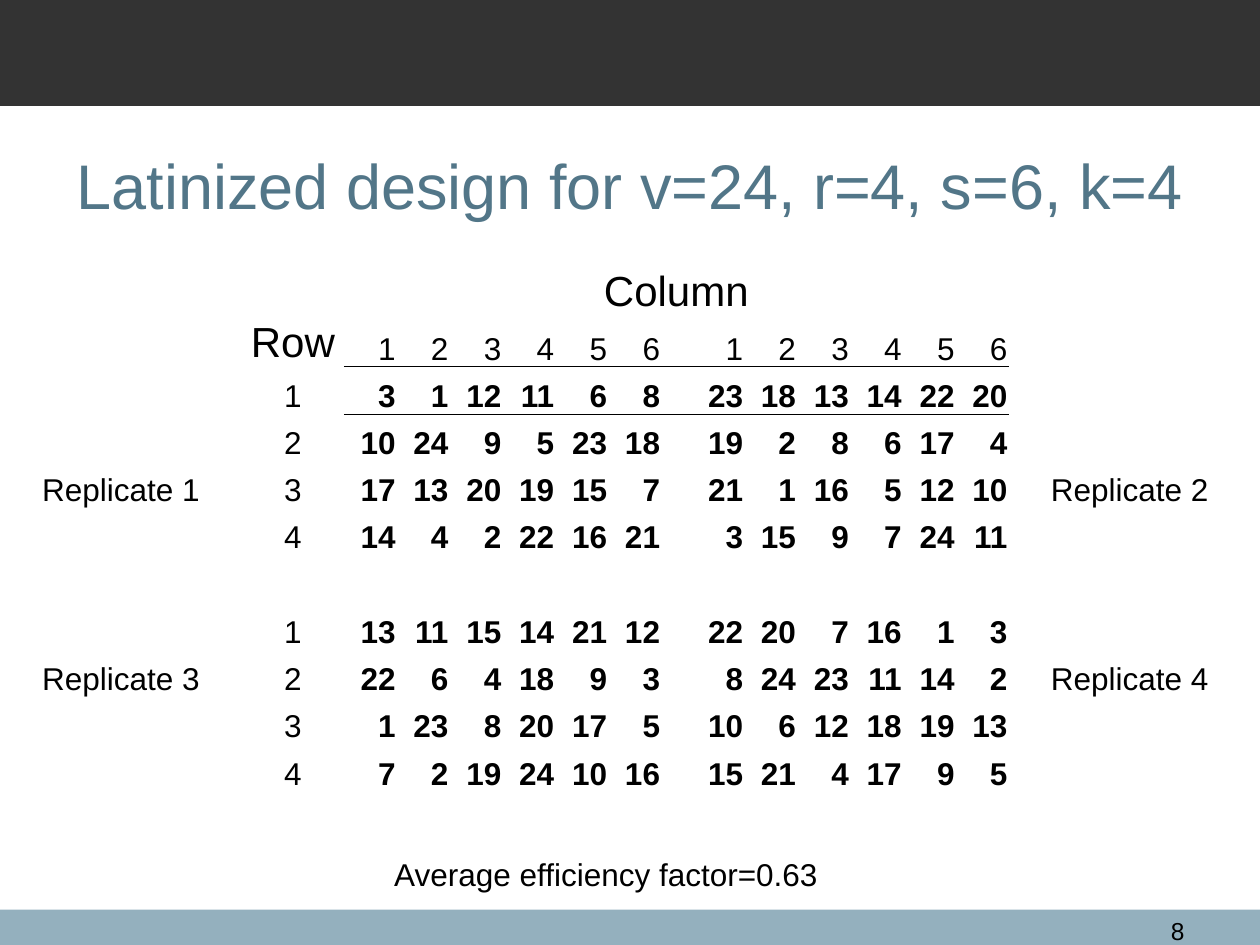
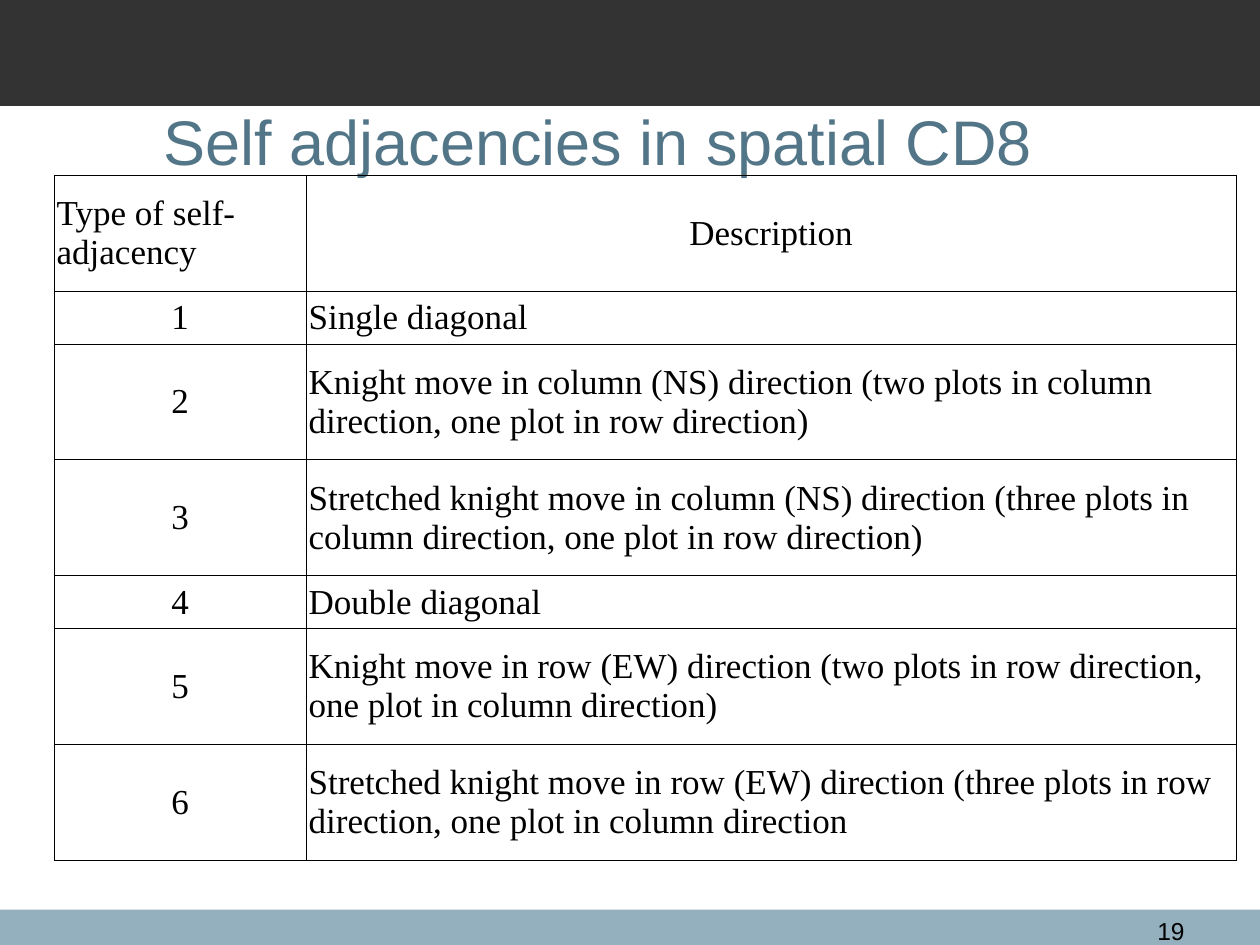
from dataclasses import dataclass

from lxml import etree
from pptx import Presentation
from pptx import util as u
from pptx.dml.color import RGBColor
from pptx.enum import shapes, text
from pptx.oxml import ns

DESIGN = {
    "title": "Latinized design for v=24, r=4, s=6, k=4",
    "number": 8,
    "column_heading": "Column",
    "row_heading": "Row",
    "summary": "Average efficiency factor=0.63",
}

# Label, (first row, first column) of the block, (row, column) of the label, plots
REPLICATES = [
    ("Replicate 1", (2, 2), (4, 0), [
        (3, 1, 12, 11, 6, 8),
        (10, 24, 9, 5, 23, 18),
        (17, 13, 20, 19, 15, 7),
        (14, 4, 2, 22, 16, 21)]),
    ("Replicate 2", (2, 9), (4, 15), [
        (23, 18, 13, 14, 22, 20),
        (19, 2, 8, 6, 17, 4),
        (21, 1, 16, 5, 12, 10),
        (3, 15, 9, 7, 24, 11)]),
    ("Replicate 3", (7, 2), (8, 0), [
        (13, 11, 15, 14, 21, 12),
        (22, 6, 4, 18, 9, 3),
        (1, 23, 8, 20, 17, 5),
        (7, 2, 19, 24, 10, 16)]),
    ("Replicate 4", (7, 9), (8, 15), [
        (22, 20, 7, 16, 1, 3),
        (8, 24, 23, 11, 14, 2),
        (10, 6, 12, 18, 19, 13),
        (15, 21, 4, 17, 9, 5)]),
]

ADJACENCY = {
    "title": "Self adjacencies in spatial CD8",
    "number": 19,
    "headings": ("Type of self-adjacency", "Description"),
    "descriptions": [
        "Single diagonal",
        "Knight move in column (NS) direction (two plots in column direction, "
        "one plot in row direction)",
        "Stretched knight move in column (NS) direction (three plots in column "
        "direction, one plot in row direction)",
        "Double diagonal",
        "Knight move in row (EW) direction (two plots in row direction, "
        "one plot in column direction)",
        "Stretched knight move in row (EW) direction (three plots in row "
        "direction, one plot in column direction",
    ],
}


@dataclass(frozen=True)
class Theme:
    header: str = "333333"
    footer: str = "94B0BE"
    title: str = "527688"
    ink: str = "000000"
    sans: str = "Arial"
    serif: str = "Times New Roman"
    title_size: int = 36
    heading_size: int = 24
    description_size: int = 20
    body_size: int = 18
    number_size: int = 14


THEME = Theme()
LEFT, CENTER, RIGHT = text.PP_ALIGN.LEFT, text.PP_ALIGN.CENTER, text.PP_ALIGN.RIGHT
TOP, MIDDLE, BOTTOM = (text.MSO_ANCHOR.TOP, text.MSO_ANCHOR.MIDDLE,
                       text.MSO_ANCHOR.BOTTOM)
SIDES = ("left", "right", "top", "bottom")
PLAIN_TABLE = "{2D5ABB26-0587-4C30-8999-92F81FD0307C}"


def set_all(target, values):
    for name, value in values.items():
        setattr(target, name, value)


def write(frame, words, size, color=THEME.ink, font=THEME.sans, align=LEFT,
          bold=False):
    paragraph = frame.paragraphs[0]
    paragraph.alignment = align
    run = paragraph.add_run()
    run.text = str(words)
    set_all(run.font, {"size": u.Pt(size), "name": font, "bold": bold})
    run.font.color.rgb = RGBColor.from_string(color)


def add_text(slide, box, words, size, anchor=TOP, indent=0, **style):
    frame = slide.shapes.add_textbox(*map(u.Inches, box)).text_frame
    set_all(frame, {"word_wrap": True, "vertical_anchor": anchor,
                    "margin_left": u.Inches(0.1 + indent)})
    write(frame, words, size, **style)


def add_band(slide, top, height, color):
    band = slide.shapes.add_shape(shapes.MSO_SHAPE.RECTANGLE, 0, u.Inches(top),
                                  u.Inches(10), u.Inches(height))
    band.shadow.inherit = False
    band.fill.solid()
    band.fill.fore_color.rgb = RGBColor.from_string(color)
    band.line.fill.background()


def add_base(deck, content, title_height, indent=0):
    """Add a slide with its bands, title and number."""
    slide = deck.slides.add_slide(deck.slide_layouts[6])
    add_band(slide, 7.22, 0.28, THEME.footer)
    add_band(slide, 0, 0.84, THEME.header)
    add_text(slide, (0.51, 0.84, 9, title_height), content["title"],
             THEME.title_size, anchor=MIDDLE, indent=indent, color=THEME.title)
    add_text(slide, (8.86, 7.22, 0.64, 0.24), content["number"],
             THEME.number_size, align=RIGHT)
    return slide


def add_plain_table(slide, left, top, widths, heights, margins, anchor):
    box = map(u.Inches, (left, top, sum(widths), sum(heights)))
    table = slide.shapes.add_table(len(heights), len(widths), *box).table
    set_all(table, {"first_row": False, "horz_banding": False})
    table._tbl.tblPr.find(ns.qn("a:tableStyleId")).text = PLAIN_TABLE
    for column, width in zip(table.columns, widths):
        column.width = u.Inches(width)
    for row, height in zip(table.rows, heights):
        row.height = u.Inches(height)
    for cell in table.iter_cells():
        set_all(cell, {f"margin_{side}": u.Inches(gap)
                       for side, gap in zip(SIDES, margins)})
        cell.vertical_anchor = anchor
        cell.fill.background()
    return table


def rule(cell, sides, points):
    """Draw the cell's borders; sides is a subset of LRTB, in that order."""
    properties = cell._tc.get_or_add_tcPr()
    for position, side in enumerate(sides):
        line = etree.Element(ns.qn(f"a:ln{side}"), w=str(u.Pt(points)))
        fill = etree.SubElement(line, ns.qn("a:solidFill"))
        etree.SubElement(fill, ns.qn("a:srgbClr"), val=THEME.ink)
        properties.insert(position, line)


def build_design(deck):
    slide = add_base(deck, DESIGN, 1.25)
    plots = [0.42] * 6
    widths = [1.92, 0.81, *plots, 0.24, *plots, 1.92]
    table = add_plain_table(slide, 0, 2.09, widths, [0.375] * 12,
                            (0.01, 0.01, 0.01, 0), BOTTOM)

    def put(row, column, words, size=THEME.body_size, **style):
        write(table.cell(row, column).text_frame, words, size, **style)

    table.cell(0, 2).merge(table.cell(0, 14))
    put(0, 2, DESIGN["column_heading"], THEME.heading_size, align=CENTER)
    put(1, 1, DESIGN["row_heading"], THEME.heading_size, align=CENTER)
    for column in range(2, 15):
        rule(table.cell(1, column), "B", 0.5)
        rule(table.cell(2, column), "T", 0.5)

    for label, (first_row, first_column), label_place, block in REPLICATES:
        put(*label_place, label, align=CENTER)
        for i, treatments in enumerate(block):
            if first_column == 2:
                put(first_row + i, 1, i + 1, align=CENTER)
            for j, treatment in enumerate(treatments):
                put(first_row + i, first_column + j, treatment, align=RIGHT,
                    bold=True)
        if first_row == 2:
            for j in range(6):
                put(1, first_column + j, j + 1, align=RIGHT)

    add_text(slide, (3.03, 6.74, 5.28, 0.4), DESIGN["summary"], THEME.body_size)


def build_adjacency(deck):
    slide = add_base(deck, ADJACENCY, 0.55, indent=0.69)
    rows = [ADJACENCY["headings"], *enumerate(ADJACENCY["descriptions"], 1)]
    heights = [0.42 if "diagonal" in words else 0.92 for _, words in rows]
    table = add_plain_table(slide, 0.43, 1.39, [2, 7.38], heights, [0.02] * 4,
                            MIDDLE)
    for i, row in enumerate(rows):
        aligns = (CENTER, LEFT) if i else (LEFT, CENTER)
        for j, (words, align) in enumerate(zip(row, aligns)):
            cell = table.cell(i, j)
            rule(cell, "LRTB", 0.43)
            write(cell.text_frame, words, THEME.description_size,
                  font=THEME.serif, align=align)


def main():
    deck = Presentation()
    set_all(deck, {"slide_width": u.Inches(10), "slide_height": u.Inches(7.5)})
    build_design(deck)
    build_adjacency(deck)
    deck.save("out.pptx")


if __name__ == "__main__":
    main()
